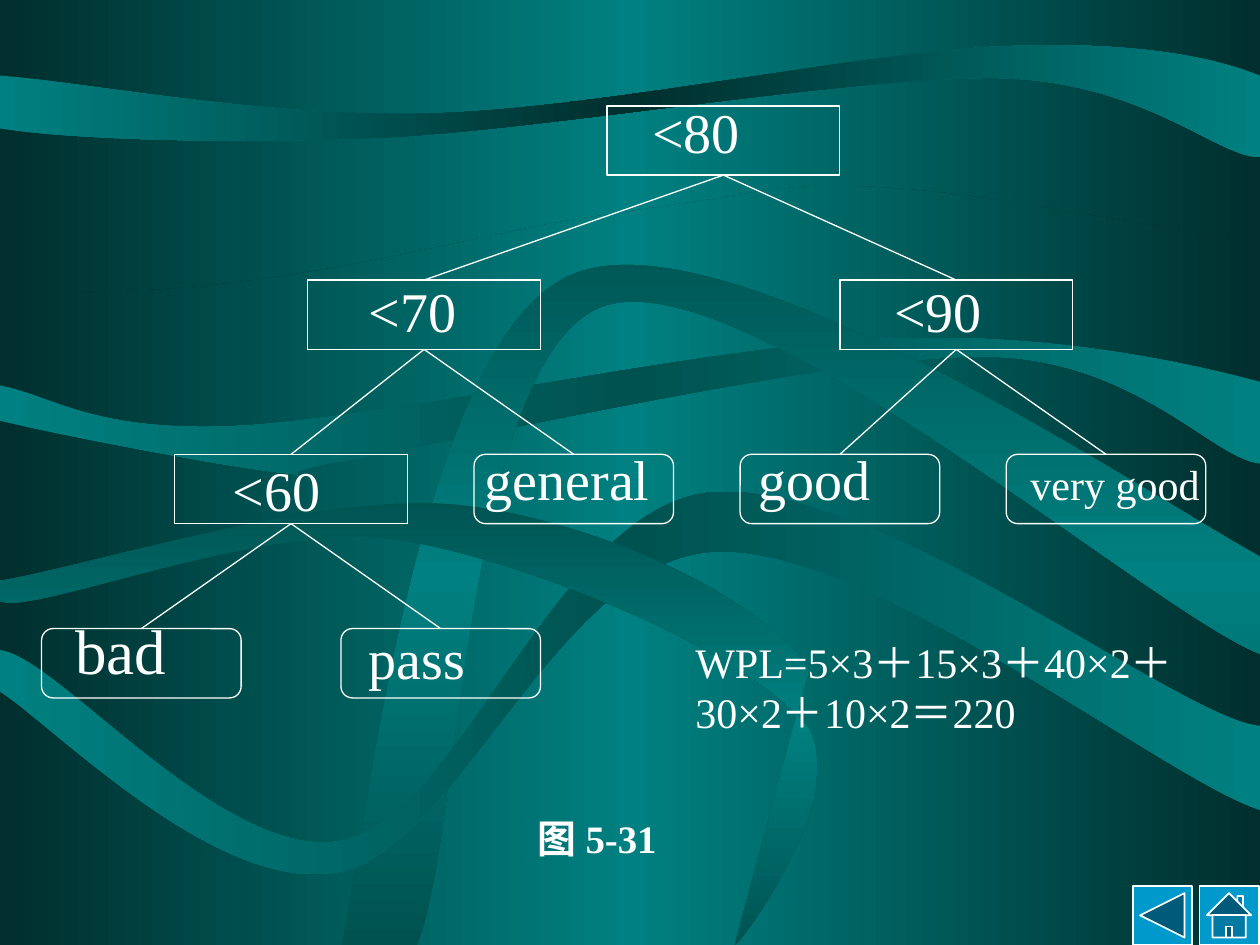
from copy import deepcopy

from pptx import Presentation, util as u
from pptx.dml.color import RGBColor
from pptx.enum import shapes, text
from pptx.oxml import ns, xmlchemy

WHITE = RGBColor(0xFF, 0xFF, 0xFF)
BUTTON_BLUE = RGBColor(0x00, 0x99, 0xCC)
NIGHT = RGBColor(0x00, 0x2F, 0x2E)
TEAL = RGBColor(0x00, 0x80, 0x80)
DEEP_TEAL = RGBColor(0x00, 0x52, 0x50)

COLUMNS, ROWS = 10, 7.5
TREE_LEFT, TREE_TOP = 0.33, 0.84
TREE_STEP, LEVEL_STEP, NODE_HEIGHT = 0.264, 1.383, 0.55
QUESTION = (shapes.MSO_SHAPE.RECTANGLE, 7)
ANSWER = (shapes.MSO_SHAPE.FLOWCHART_ALTERNATE_PROCESS, 6)

DARK_EDGES = (NIGHT, TEAL, NIGHT)
DARK_MIDDLE = (TEAL, NIGHT, TEAL)
SOFT_MIDDLE = (TEAL, DEEP_TEAL, TEAL)
SOFT_EDGES = (DEEP_TEAL, TEAL, DEEP_TEAL)

RIBBONS = [
    (DARK_EDGES, 0, [
        (0, 2.28), (1.78, 2.45, 3.4, 1.94, 4.58, 1.74),
        (4.58, 1.74, 5.67, 1.58, 5.86, 1.55),
        (7.15, 1.27, 9.17, 1.89, 10, 1.89), (10, 7.5), (0, 7.5)]),
    (DARK_MIDDLE, 0, [
        (0, 0.6), (0, 1.02), (0.51, 1.1, 1.76, 1.15, 3.08, 1.09),
        (4.4, 1.02, 6.79, 0.6, 7.94, 0.62), (9.09, 0.65, 9.66, 1.25, 10, 1.25),
        (10, 0.6), (9.65, 0.46, 9.01, 0.32, 7.92, 0.37),
        (6.82, 0.42, 4.77, 0.86, 3.45, 0.9), (2.13, 0.94, 0.72, 0.66, 0, 0.6)]),
    (SOFT_MIDDLE, 0, [
        (0, 3.06), (0, 3.34), (0.37, 3.43, 1.75, 3.7, 2.22, 3.75),
        (2.69, 3.8, 1.9, 3.79, 2.82, 3.64), (3.75, 3.48, 6.6, 2.82, 7.8, 2.83),
        (9, 2.83, 9.63, 3.65, 10, 3.68), (10, 3.03),
        (9.5, 2.9, 8.36, 2.63, 7.01, 2.69), (5.66, 2.74, 3.07, 3.32, 1.9, 3.38),
        (0.73, 3.44, 0.4, 3.13, 0, 3.06)]),
    (SOFT_EDGES, 90, [
        (2.71, 7.5), (2.91, 6.61, 3.32, 2.69, 4.54, 2.18),
        (5.75, 1.66, 9.09, 3.92, 10, 4.42), (10, 5.19),
        (9.13, 4.85, 5.91, 2.05, 4.79, 2.43), (3.68, 2.82, 3.66, 6.66, 3.31, 7.5)]),
    (SOFT_MIDDLE, 0, [
        (0, 5.16), (0, 5.49), (0.45, 5.78, 1.74, 7.11, 2.69, 6.92),
        (3.63, 6.74, 4.43, 4.46, 5.65, 4.38), (6.87, 4.29, 9.27, 6.2, 10, 6.43),
        (10, 5.76), (9.38, 5.72, 6.91, 3.77, 5.62, 3.91),
        (4.41, 4.06, 3.67, 6.46, 2.73, 6.67), (1.79, 6.87, 0.45, 5.2, 0, 5.16)]),
    (SOFT_EDGES, 90, [
        (0, 4.61), (0, 4.77), (0.26, 4.89, 2.08, 4.13, 3.14, 4.28),
        (4.2, 4.44, 5.92, 5.18, 6.37, 5.72), (6.82, 6.25, 5.82, 7.57, 5.83, 7.5),
        (6.42, 5.32), (6.06, 4.74, 4.73, 4.13, 3.66, 4.01),
        (2.59, 3.89, 0.76, 4.48, 0, 4.61)]),
]

TREE = [
    ("<80", None, QUESTION, 17, 0, (5.08, 0.83), 32),
    ("<70", "<80", QUESTION, 8, 1, (2.83, 2.25), 32),
    ("<90", "<80", QUESTION, 24, 1, (7, 2.25), 32),
    ("<60", "<70", QUESTION, 4, 2, (1.75, 3.67), 32),
    ("general", "<70", ANSWER, 13, 2, (3.75, 3.58), 32),
    ("good", "<90", ANSWER, 21, 2, (5.92, 3.58), 32),
    ("very good", "<90", ANSWER, 29, 2, (8.08, 3.67), 24),
    ("bad", "<60", ANSWER, 0, 3, (0.5, 4.92), 36),
    ("pass", "<60", ANSWER, 9, 3, (2.83, 5), 32),
]


class Board:
    font = {"name": "Times New Roman", "size": u.Pt(32)}
    label = {"alignment": text.PP_ALIGN.JUSTIFY, "line_spacing": 0.8}

    def __init__(self, deck):
        self.deck = deck
        self.slide = deck.slides.add_slide(deck.slide_layouts[6])
        self.items = self.slide.shapes

    def x(self, column):
        return round(self.deck.slide_width * column / COLUMNS)

    def y(self, row):
        return round(self.deck.slide_height * row / ROWS)

    def box(self, left, top, width, height):
        return self.x(left), self.y(top), self.x(width), self.y(height)

    def gradient(self, fill, element, colours, angle):
        fill.gradient()
        fill.gradient_angle = angle
        stops = next(element.iter(ns.qn("a:gsLst")))
        stops.insert(1, deepcopy(stops[0]))
        for stop, colour, position in zip(fill.gradient_stops, colours, (0, 0.5, 1)):
            stop.color.rgb = colour
            stop.position = position

    def background(self, colours):
        self.gradient(self.slide.background.fill, self.slide._element, colours, 0)

    def ribbon(self, colours, angle, steps):
        points = [(self.x(step[i]), self.y(step[i + 1]))
                  for step in steps for i in range(0, len(step), 2)]
        builder = self.items.build_freeform(*points[0])
        builder.add_line_segments(points[1:], close=True)
        ribbon = builder.convert_to_shape()
        ribbon.shadow.inherit = False
        ribbon.line.fill.background()
        self.gradient(ribbon.fill, ribbon._element, colours, angle)
        corners = iter(list(ribbon._element.iter(ns.qn("a:lnTo"))))
        for step in steps[1:]:
            group = [next(corners) for _ in range(len(step) // 2)]
            if len(group) == 3:
                curve = xmlchemy.OxmlElement("a:cubicBezTo")
                group[0].addprevious(curve)
                for corner in group:
                    curve.append(corner[0])
                    corner.getparent().remove(corner)

    def outline(self, preset, area, fill=None, weight=0.75):
        shape = self.items.add_shape(preset, *self.box(*area))
        shape.shadow.inherit = False
        if fill is None:
            shape.fill.background()
        else:
            shape.fill.solid()
            shape.fill.fore_color.rgb = fill
        shape.line.color.rgb = WHITE
        shape.line.width = u.Pt(weight)
        return shape

    def node(self, kind, column, level):
        preset, span = kind
        return self.outline(preset, (TREE_LEFT + column * TREE_STEP,
                                     TREE_TOP + level * LEVEL_STEP,
                                     span * TREE_STEP, NODE_HEIGHT))

    def branch(self, parent, child):
        branch = self.items.add_connector(shapes.MSO_CONNECTOR.STRAIGHT, 0, 0, 0, 0)
        branch.begin_connect(parent, 2)
        branch.end_connect(child, 0)
        branch.line.color.rgb = WHITE
        branch.line.width = u.Pt(0.75)
        branch._element.spPr.append(xmlchemy.OxmlElement("a:effectLst"))

    def wording(self, words, area, paragraph_format, **font_format):
        frame = self.items.add_textbox(*self.box(*area)).text_frame
        frame.word_wrap = True
        paragraph = frame.paragraphs[0]
        for key, value in paragraph_format.items():
            setattr(paragraph, key, value)
        run = paragraph.add_run()
        run.text = words
        for key, value in {**self.font, **font_format}.items():
            setattr(run.font, key, value)
        run.font.color.rgb = WHITE


def main():
    deck = Presentation()
    deck.slide_width, deck.slide_height = u.Inches(10), u.Inches(7.5)
    board = Board(deck)
    board.background(DARK_EDGES)
    for colours, angle, steps in RIBBONS:
        board.ribbon(colours, angle, steps)

    nodes = {}
    for words, parent, kind, column, level, corner, size in TREE:
        nodes[words] = board.node(kind, column, level)
        if parent:
            board.branch(nodes[parent], nodes[words])
        width = 2.24 if words == "very good" else 1.86
        height = 0.68 if kind is QUESTION else 0.81
        board.wording(words, (*corner, width, height), board.label, size=u.Pt(size))

    board.wording("WPL=5×3＋15×3＋40×2＋30×2＋10×2＝220", (5.42, 5, 4.25, 0.9),
                  {"space_before": u.Pt(15)}, size=u.Pt(24))
    board.wording("图 5-31", (4.17, 6.42, 1.25, 0.83),
                  {"space_before": u.Pt(6)}, size=u.Pt(22.2), bold=True)

    for button, left in ((shapes.MSO_SHAPE.ACTION_BUTTON_HOME, 9.52),
                         (shapes.MSO_SHAPE.ACTION_BUTTON_BACK_OR_PREVIOUS, 8.99)):
        board.outline(button, (left, 7.03, 0.47, 0.47), BUTTON_BLUE, 1)
    deck.save("out.pptx")


if __name__ == "__main__":
    main()
